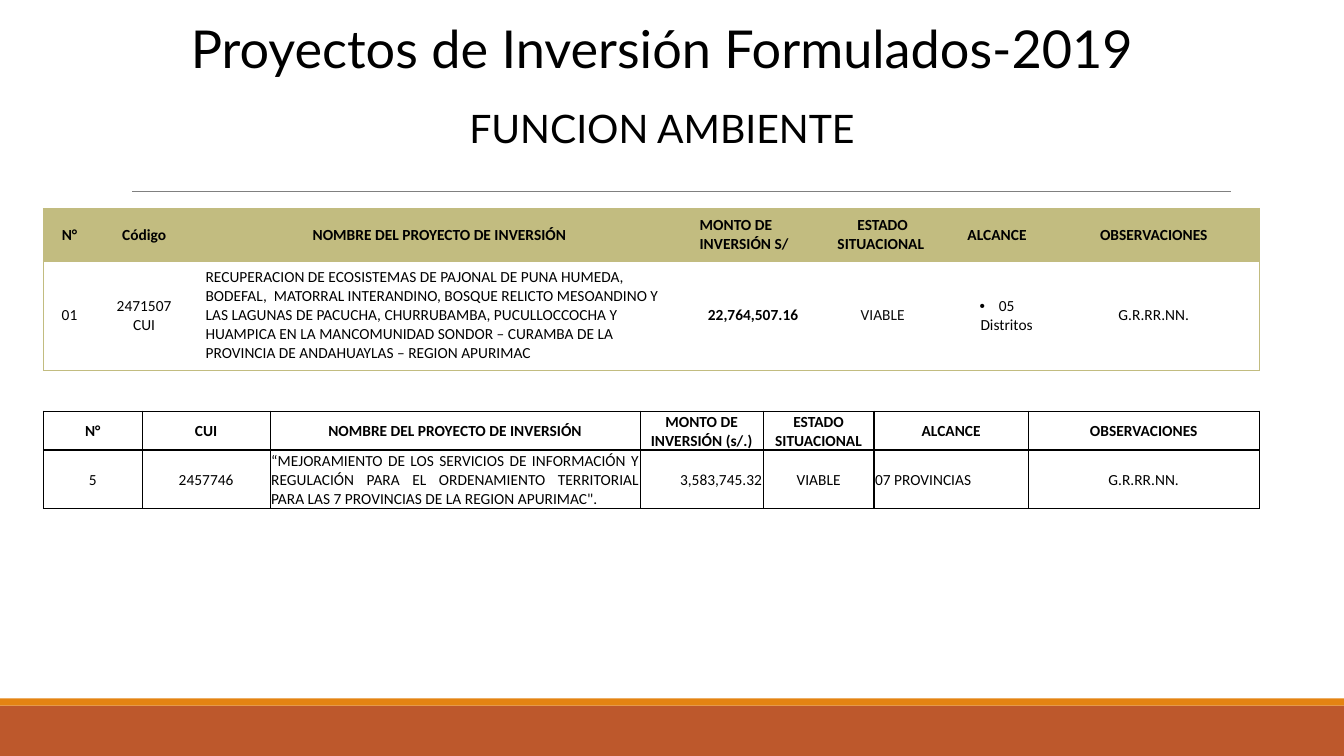
from lxml.etree import SubElement
from pptx import Presentation
from pptx.dml.color import RGBColor
from pptx.enum.shapes import MSO_CONNECTOR, MSO_SHAPE
from pptx.enum.text import MSO_ANCHOR, MSO_AUTO_SIZE, PP_ALIGN
from pptx.oxml import parse_xml
from pptx.oxml.ns import nsdecls, qn
from pptx.util import Inches, Pt

BLACK = RGBColor(0x00, 0x00, 0x00)
NEAR_BLACK = RGBColor(0x0D, 0x0D, 0x0D)
WHITE = RGBColor(0xFF, 0xFF, 0xFF)
GRAY = RGBColor(0x80, 0x80, 0x80)
OLIVE = RGBColor(0xC2, 0xBC, 0x80)
RUST = RGBColor(0xBD, 0x58, 0x2C)
ORANGE = RGBColor(0xE4, 0x83, 0x12)

C, L, R, J = PP_ALIGN.CENTER, PP_ALIGN.LEFT, PP_ALIGN.RIGHT, PP_ALIGN.JUSTIFY

HEADINGS = [
    ("Proyectos de Inversión Formulados-2019", 0.12, 37.3),
    ("FUNCION AMBIENTE", 0.84, 28),
]
BANDS = [(7, 0.5, RUST), (6.93, 0.07, ORANGE)]

ECOSYSTEMS = {
    "top": 2.07,
    "cols": [0.52, 0.96, 4.9, 1.32, 1.25, 1.02, 2.09],
    "rows": [0.52, 1.07],
    "margins": (0.13, 0.07, 0.13, 0.07),
    "header_fill": OLIVE,
    "line": OLIVE,
    "inner": False,
    "header_line": 1,
    "aligns": [[C, C, C, L, C, C, C], [C, C, L, C, C, C, C]],
    "bold": (1, 3),
    "near_black": (1, 4),
    "bullet": (1, 5),
    "cells": [
        ["N°", "Código", "NOMBRE DEL PROYECTO DE INVERSIÓN", "MONTO DE INVERSIÓN S/",
         "ESTADO SITUACIONAL ", "ALCANCE", "OBSERVACIONES"],
        ["01", "2471507\nCUI",
         "RECUPERACION DE ECOSISTEMAS DE PAJONAL DE PUNA HUMEDA, BODEFAL,  MATORRAL "
         "INTERANDINO, BOSQUE RELICTO MESOANDINO Y LAS LAGUNAS DE PACUCHA, CHURRUBAMBA, "
         "PUCULLOCCOCHA Y HUAMPICA EN LA MANCOMUNIDAD SONDOR – CURAMBA DE LA PROVINCIA DE "
         "ANDAHUAYLAS – REGION APURIMAC",
         "22,764,507.16", "VIABLE", "05 Distritos", "G.R.RR.NN."],
    ],
}
TERRITORY = {
    "top": 4.08,
    "cols": [0.98, 1.27, 3.67, 1.22, 1.1, 1.53, 2.29],
    "rows": [0.38, 0.57],
    "margins": (0.01, 0.01, 0.01, 0),
    "header_fill": WHITE,
    "line": BLACK,
    "inner": True,
    "header_line": 1.5,
    "aligns": [[C] * 7, [C, C, J, R, C, L, C]],
    "bold": None,
    "near_black": None,
    "bullet": None,
    "cells": [
        ["N°", "CUI", "NOMBRE DEL PROYECTO DE INVERSIÓN", "MONTO DE INVERSIÓN (s/.)",
         "ESTADO SITUACIONAL", "ALCANCE", "OBSERVACIONES"],
        ["5", "2457746",
         "“MEJORAMIENTO DE LOS SERVICIOS DE INFORMACIÓN Y REGULACIÓN PARA EL ORDENAMIENTO "
         "TERRITORIAL PARA LAS 7 PROVINCIAS DE LA REGION APURIMAC\".",
         "3,583,745.32", "VIABLE", "07 PROVINCIAS", "G.R.RR.NN."],
    ],
}


def add_run(p, text, size, font, color, bold=False):
    r = p.add_run()
    r.text = text
    r.font.size = Pt(size)
    r.font.name = font
    r.font.bold = bold
    r.font.color.rgb = color


def add_heading(sp, text, top, size):
    sp.left, sp.top, sp.width, sp.height = map(Inches, (0.79, top, 11.55, 0.66))
    tf = sp.text_frame
    tf.word_wrap = True
    tf.auto_size = MSO_AUTO_SIZE.NONE
    tf.vertical_anchor = MSO_ANCHOR.BOTTOM
    tf.margin_left = tf.margin_top = tf.margin_right = tf.margin_bottom = 0
    p = tf.paragraphs[0]
    p.alignment = C
    p.space_before = Pt(0)
    add_run(p, text, size, "Lato", BLACK)


def set_borders(cell, color, widths):
    tcPr = cell._tc.get_or_add_tcPr()
    for i, (side, width) in enumerate(zip("LRTB", widths)):
        paint = f'<a:solidFill><a:srgbClr val="{color}"/></a:solidFill>' if width else "<a:noFill/>"
        tcPr.insert(i, parse_xml(f'<a:ln{side} {nsdecls("a")} w="{Pt(width)}">{paint}</a:ln{side}>'))


def add_bullet(p):
    pPr = p._p.get_or_add_pPr()
    pPr.set("marL", str(Inches(0.19)))
    pPr.set("indent", str(-Inches(0.19)))
    SubElement(pPr, qn("a:buFont"), typeface="Arial")
    SubElement(pPr, qn("a:buChar"), char="•")


def fill_cell(cell, data, i, j):
    cell.margin_left, cell.margin_top, cell.margin_right, cell.margin_bottom = map(Inches, data["margins"])
    cell.vertical_anchor = MSO_ANCHOR.MIDDLE
    cell.fill.solid()
    cell.fill.fore_color.rgb = WHITE if i else data["header_fill"]
    inner, middle = data["inner"], data["header_line"]
    set_borders(cell, data["line"], (
        1 if j == 0 or inner else 0,
        1 if j == len(data["cols"]) - 1 or inner else 0,
        middle if i else 1,
        1 if i else middle,
    ))
    tf = cell.text_frame
    color = NEAR_BLACK if (i, j) == data["near_black"] else BLACK
    for k, line in enumerate(data["cells"][i][j].split("\n")):
        p = tf.add_paragraph() if k else tf.paragraphs[0]
        p.alignment = data["aligns"][i][j]
        if (i, j) == data["bullet"]:
            add_bullet(p)
        add_run(p, line, 11, "Calibri", color, i == 0 or (i, j) == data["bold"])


def add_project_table(s, data):
    cols, rows = data["cols"], data["rows"]
    frame = s.shapes.add_table(len(rows), len(cols), Inches(0.43), Inches(data["top"]),
                               Inches(sum(cols)), Inches(sum(rows)))
    table = frame.table
    table.first_row = table.horz_banding = False
    for j, width in enumerate(cols):
        table.columns[j].width = Inches(width)
    for i, height in enumerate(rows):
        table.rows[i].height = Inches(height)
        for j in range(len(cols)):
            fill_cell(table.cell(i, j), data, i, j)


def main():
    """Build the slide of investment projects for the environment function."""
    prs = Presentation()
    prs.slide_width, prs.slide_height = Inches(13.33), Inches(7.5)
    s = prs.slides.add_slide(prs.slide_layouts[0])
    for top, height, color in BANDS:
        sp = s.shapes.add_shape(MSO_SHAPE.RECTANGLE, 0, Inches(top), prs.slide_width, Inches(height))
        sp.shadow.inherit = False
        sp.fill.solid()
        sp.fill.fore_color.rgb = color
        sp.line.fill.background()
    rule = s.shapes.add_connector(MSO_CONNECTOR.STRAIGHT, *map(Inches, (1.31, 1.9, 12.21, 1.9)))
    rule.line.color.rgb = GRAY
    rule.line.width = Pt(0.5)
    SubElement(rule._element.spPr, qn("a:effectLst"))
    for sp, heading in zip(s.placeholders, HEADINGS):
        add_heading(sp, *heading)
    for data in (ECOSYSTEMS, TERRITORY):
        add_project_table(s, data)
    prs.save("out.pptx")


if __name__ == "__main__":
    main()
